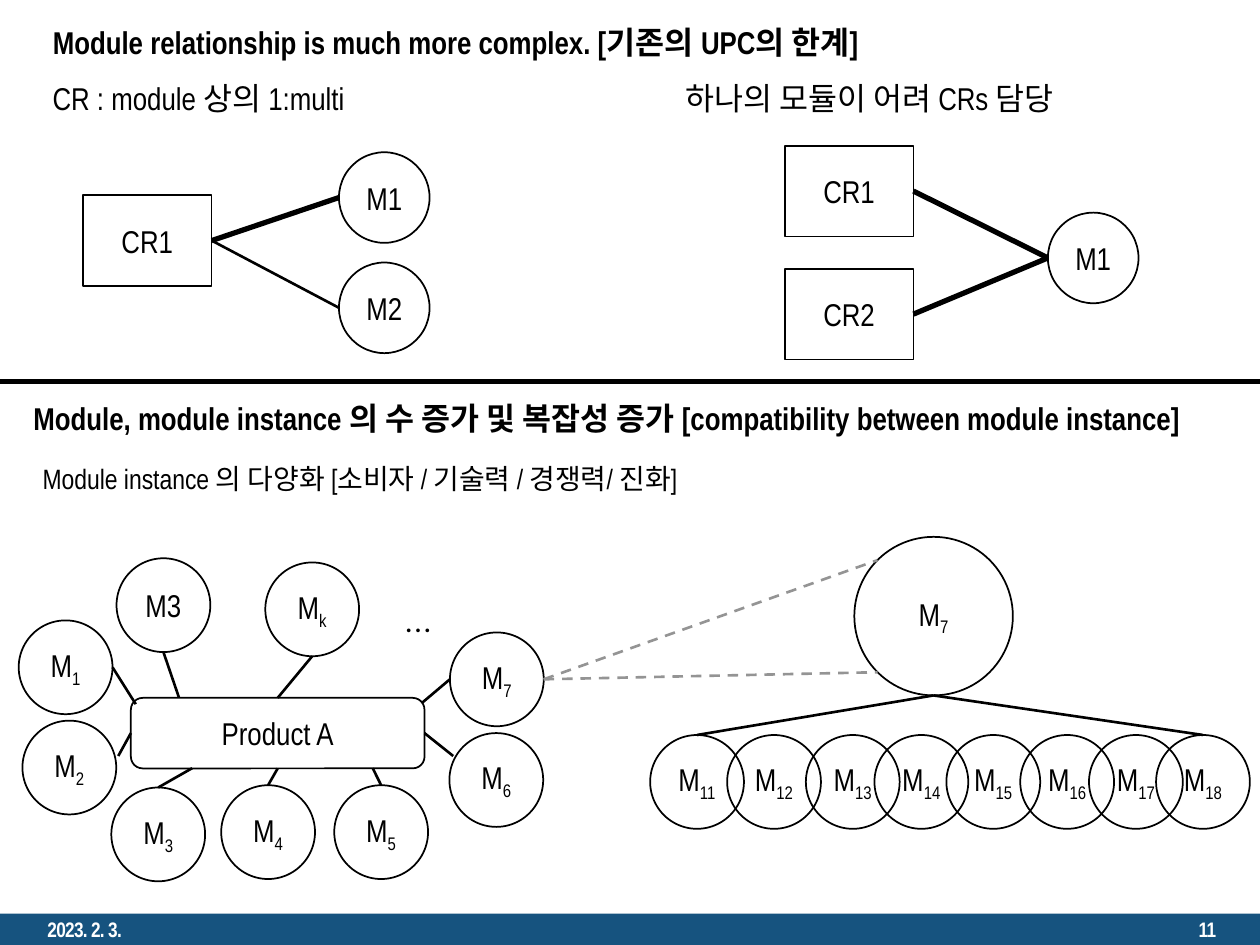
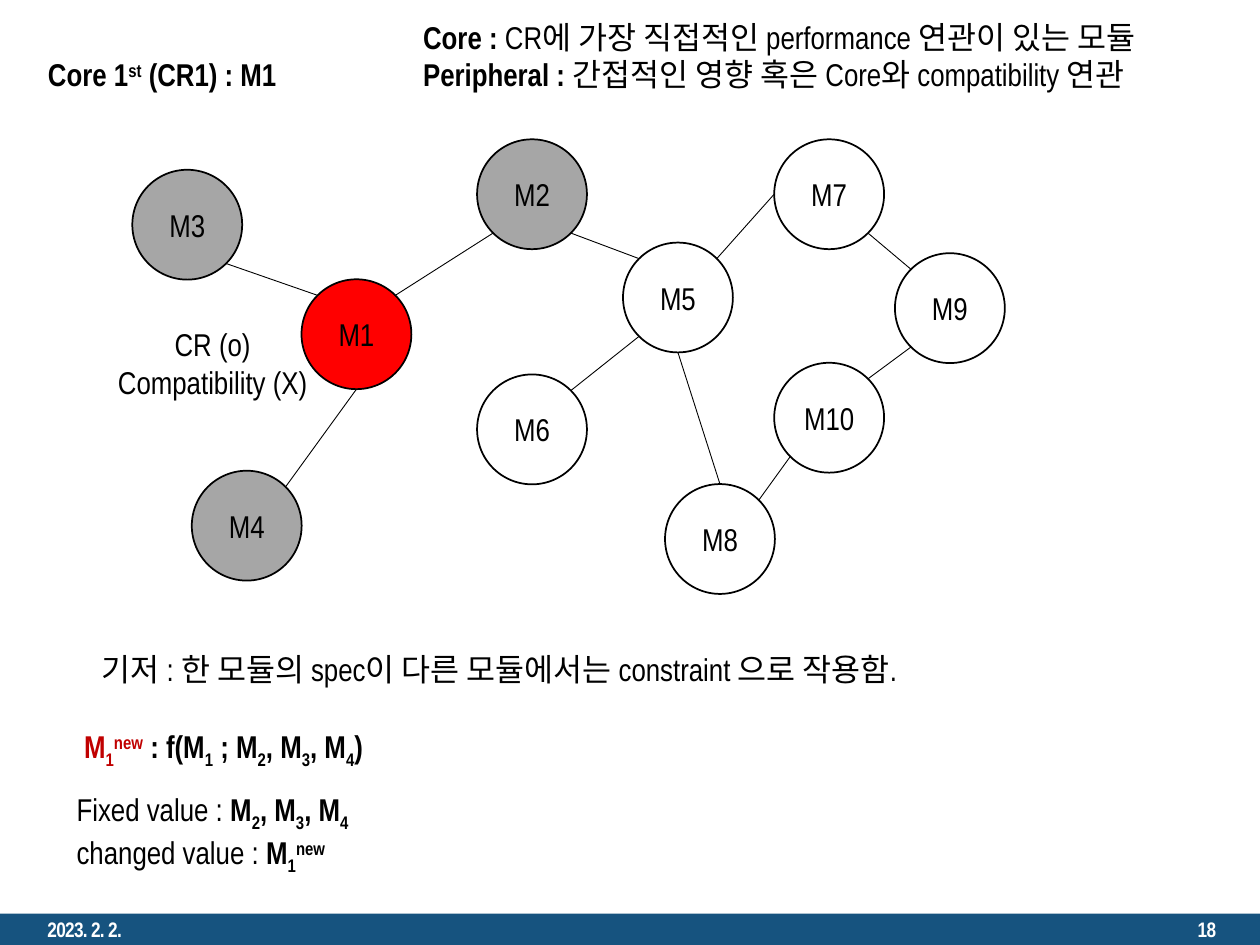
from dataclasses import dataclass
from typing import NamedTuple

from lxml.etree import SubElement
from pptx import Presentation
from pptx.dml.color import RGBColor
from pptx.enum.dml import MSO_LINE
from pptx.enum.shapes import MSO_CONNECTOR, MSO_SHAPE
from pptx.enum.text import MSO_ANCHOR, MSO_AUTO_SIZE, PP_ALIGN
from pptx.oxml.ns import qn
from pptx.util import Pt

COLORS = {"ink": "000000", "band": "16537F", "white": "FFFFFF", "gray": "A6A6A6",
          "core": "FF0000", "new": "C00000", "dash": "949494"}
LATIN, HANGUL = "Arial Narrow", "Noto Sans CJK KR"
WIDTH, HEIGHT, BAND = 720, 540, 18
TOP, LEFT, BOTTOM, RIGHT = range(4)
RIM = {"N": (0, -1), "E": (1, 0), "S": (0, 1), "W": (-1, 0),
       "NE": (0.707, -0.707), "SE": (0.707, 0.707),
       "SW": (-0.707, 0.707), "NW": (-0.707, -0.707)}
MARKS = {"_": -25000, "^": 30000}


class Point(NamedTuple):
    x: float
    y: float


class Side(NamedTuple):
    """The middle of one side of a rectangle."""
    shape: object
    site: int


class Box(NamedTuple):
    x: float
    y: float
    w: float
    h: float


@dataclass
class Style:
    size: float = 18
    bold: bool = False
    color: str = "ink"
    font: str = LATIN
    align: PP_ALIGN = PP_ALIGN.LEFT
    anchor: MSO_ANCHOR = MSO_ANCHOR.TOP
    track: int = 0
    pad: tuple = (7.2, 3.6)


@dataclass
class Node:
    text: str
    x: float
    y: float
    fill: str = ""


PLAIN = Style()
HEAD = Style(bold=True)
LABEL = Style(align=PP_ALIGN.CENTER, anchor=MSO_ANCHOR.MIDDLE, pad=(0, 0))


def tint(color: str) -> RGBColor:
    return RGBColor.from_string(COLORS[color])


def place(shape, box: Box) -> None:
    shape.left, shape.top, shape.width, shape.height = map(Pt, box)


def write(shape, text: str, style: Style) -> None:
    """Fill in text; | parts runs, and a run may open with _ (sub), ^ (super) or * (bold)."""
    frame = shape.text_frame
    frame.word_wrap = True
    frame.auto_size = MSO_AUTO_SIZE.NONE
    frame.vertical_anchor = style.anchor
    frame.margin_left = frame.margin_right = Pt(style.pad[0])
    frame.margin_top = frame.margin_bottom = Pt(style.pad[1])
    for i, line in enumerate(text.split("\n")):
        para = frame.add_paragraph() if i else frame.paragraphs[0]
        para.alignment = style.align
        for part in line.split("|"):
            strong = style.bold or part.startswith("*")
            part = part.removeprefix("*")
            base = MARKS.get(part[0], 0)
            run = para.add_run()
            run.text = part[1:] if base else part
            font = run.font
            font.size, font.bold, font.name = Pt(style.size), strong, style.font
            font.color.rgb = tint(style.color)
            props = font._element
            SubElement(props, qn("a:ea")).set("typeface", HANGUL)
            if base:
                props.set("baseline", str(base))
            if style.track:
                props.set("spc", str(style.track))


def note(slide, box: Box, text: str, style: Style = PLAIN):
    shape = slide.shapes.add_textbox(*map(Pt, box))
    write(shape, text, style)
    return shape


def draw(slide, kind: MSO_SHAPE, box: Box, text: str, fill: str = ""):
    shape = slide.shapes.add_shape(kind, *map(Pt, box))
    shape.shadow.inherit = False
    if fill:
        shape.fill.solid()
        shape.fill.fore_color.rgb = tint(fill)
    else:
        shape.fill.background()
    shape.line.color.rgb = tint("ink")
    shape.line.width = Pt(1)
    if text:
        write(shape, text, LABEL)
    return shape


def disc(slide, node: Node, size: float):
    return draw(slide, MSO_SHAPE.OVAL, Box(node.x, node.y, size, size), node.text, node.fill)


def rim(shape, way: str) -> Point:
    """The point of a circle that lies in a compass direction."""
    half = shape.width.pt / 2
    dx, dy = RIM[way]
    return Point(shape.left.pt + half * (1 + dx), shape.top.pt + half * (1 + dy))


def link(slide, start: Point | Side, end: Point | Side, weight: float = 1.5,
         color: str = "ink", dashed: bool = False) -> None:
    spots = [Point(0, 0) if isinstance(p, Side) else p for p in (start, end)]
    line = slide.shapes.add_connector(
        MSO_CONNECTOR.STRAIGHT, *(Pt(v) for spot in spots for v in spot))
    if isinstance(start, Side):
        line.begin_connect(start.shape, start.site)
    if isinstance(end, Side):
        line.end_connect(end.shape, end.site)
    line.line.color.rgb = tint(color)
    line.line.width = Pt(weight)
    if dashed:
        line.line.dash_style = MSO_LINE.DASH
    SubElement(line._element.spPr, qn("a:effectLst"))


def start_slide(deck, title: str, box: Box, date: str, number: str):
    """Add a slide with its title and footer band."""
    slide = deck.slides.add_slide(deck.slide_layouts[5])
    place(slide.shapes.title, box)
    write(slide.shapes.title, title, HEAD)
    y = HEIGHT - BAND
    band = draw(slide, MSO_SHAPE.RECTANGLE, Box(0, y, WIDTH, BAND), "", "band")
    band.line.fill.background()
    for x, text, align in ((20, date, PP_ALIGN.LEFT), (540, number, PP_ALIGN.RIGHT)):
        note(slide, Box(x, y, 162, BAND), text,
             Style(12, True, "white", align=align, anchor=MSO_ANCHOR.MIDDLE, track=-40))
    return slide


def draw_pairs(slide) -> None:
    """One requirement to many modules, and many to one."""
    size, wide = 51.8, 73.6
    note(slide, Box(23, 41.8, 210, 28.8), "CR : module 상의 1:multi")
    note(slide, Box(384.5, 41.8, 306, 28.8), "하나의 모듈이 어려 CRs 담당")
    need, first, second = (
        draw(slide, MSO_SHAPE.RECTANGLE, Box(x, y, wide, size), text)
        for text, x, y in (("CR1", 47.4, 111.6), ("CR1", 448.4, 83.3), ("CR2", 448.4, 153.6)))
    upper, lower, shared = (
        disc(slide, node, size)
        for node in (Node("M1", 193.7, 87), Node("M2", 193.7, 150), Node("M1", 598.8, 121.5)))
    for box, circle, weight in ((need, upper, 3), (need, lower, 1.5),
                                (first, shared, 3), (second, shared, 3)):
        link(slide, Side(box, RIGHT), rim(circle, "W"), weight)
    link(slide, Point(0, 218), Point(WIDTH, 218), 3)


def draw_product(slide) -> None:
    """Product A with its modules, and the variants of one of them."""
    size = 53.6
    note(slide, Box(12, 224.5, 697, 28.8), "Module, module instance 의 수 증가 및 복잡성 증가 "
         "[compatibility between module instance]", HEAD)
    note(slide, Box(17.3, 260, 474, 26.6),
         "Module instance 의 다양화 [소비자 / 기술력 / 경쟁력/ 진화]", Style(16))
    note(slide, Box(231.3, 350.5, 21, 19.4), "…", Style(16, font=HANGUL, track=-40, pad=(0, 0)))
    product = draw(slide, MSO_SHAPE.ROUNDED_RECTANGLE, Box(74.8, 398.8, 167.8, 40.3), "Product A")
    m1, m2, m3, m4, m5, m6, m7, mk, extra = (disc(slide, node, size) for node in (
        Node("M|_1", 10.7, 354.5), Node("M|_2", 12.8, 411.8), Node("M|_3", 63.6, 450),
        Node("M|_4", 126.4, 448.7), Node("M|_5", 191, 448.7), Node("M|_6", 256.8, 418.9),
        Node("M|_7", 257.1, 361.4), Node("M|_k", 151.6, 321.4), Node("M3", 66.6, 319)))
    for start, end in (
            (Side(product, LEFT), Point(67.6, 432)), (Side(product, RIGHT), Point(259, 432)),
            (Side(product, TOP), rim(mk, "S")), (Side(product, BOTTOM), rim(m4, "N")),
            (rim(m1, "E"), Point(77.6, 402.4)), (rim(extra, "S"), Point(102.2, 398.4)),
            (rim(m7, "W"), Point(241, 401.8)), (Point(213, 439), rim(m5, "N")),
            (Point(109.8, 439), rim(m3, "N"))):
        link(slide, start, end)

    whole = disc(slide, Node("M|_7", 488.2, 306.8), 90.6)
    columns = (371.5, 415.5, 460.5, 499.7, 540.8, 583, 622.3, 660.6)
    kinds = [disc(slide, Node(f"M|_{n}", x, 420), size) for n, x in enumerate(columns, 11)]
    for kind in (kinds[0], kinds[-1]):
        link(slide, rim(whole, "S"), rim(kind, "N"))
    for way in ("NW", "SW"):
        link(slide, rim(m7, "E"), rim(whole, way), color="dash", dashed=True)


def draw_network(slide) -> None:
    nodes = (Node("M4", 109.6, 269, "gray"), Node("M1", 172.3, 159.6, "core"),
             Node("M3", 75.6, 97, "gray"), Node("M2", 272.6, 79.6, "gray"),
             Node("M5", 356, 138.6), Node("M6", 272.6, 214), Node("M8", 380, 276.6),
             Node("M10", 442.4, 207.3), Node("M9", 511.4, 144.7), Node("M7", 442.4, 79.6))
    discs = {node.text: disc(slide, node, 62.8) for node in nodes}
    for a, out, b, into in (
            ("M1", "S", "M4", "NE"), ("M3", "SE", "M1", "NW"), ("M2", "SW", "M1", "NE"),
            ("M2", "SE", "M5", "NW"), ("M5", "S", "M8", "N"), ("M5", "SW", "M6", "NE"),
            ("M8", "NE", "M10", "SW"), ("M10", "NE", "M9", "SW"),
            ("M7", "SE", "M9", "NW"), ("M5", "NE", "M7", "W")):
        link(slide, rim(discs[a], out), rim(discs[b], into), 0.5)


def draw_notes(slide) -> None:
    note(slide, Box(234.7, 6.5, 454, 51), "*Core : |CR에 가장 직접적인 performance 연관이 있는 모듈\n"
         "*Peripheral : |간접적인 영향 혹은 Core와 compatibility 연관")
    note(slide, Box(47.5, 182, 148, 51), "CR (o)\nCompatibility (X)", Style(align=PP_ALIGN.CENTER))
    note(slide, Box(51, 368, 652, 28.8),
         "기저 : 한 모듈의 spec이 다른 모듈에서는 constraint 으로 작용함.")
    rule = note(slide, Box(41, 412, 200, 28.8),
                "M|_1|^new| : f(M|_1| ; M|_2|, M|_3|, M|_4|)", HEAD)
    for run in rule.text_frame.paragraphs[0].runs[:3]:
        run.font.color.rgb = tint("new")
    note(slide, Box(36.7, 448, 200, 51), "Fixed value : |*M|*_2|*, M|*_3|*, M|*_4\n"
         "changed value : |*M|*_1|*^new")


def main() -> None:
    deck = Presentation()
    deck.slide_width, deck.slide_height = Pt(WIDTH), Pt(HEIGHT)
    slide = start_slide(deck, "Module relationship is much more complex. [기존의 UPC의 한계]",
                        Box(23, 9.4, 576, 28.8), "2023. 2. 3.", "11")
    draw_pairs(slide)
    draw_product(slide)
    slide = start_slide(deck, "Core 1|^st| (CR1) : M1", Box(20.2, 28, 200, 28.8),
                        "2023. 2. 2.", "18")
    draw_network(slide)
    draw_notes(slide)
    deck.save("out.pptx")


if __name__ == "__main__":
    main()
